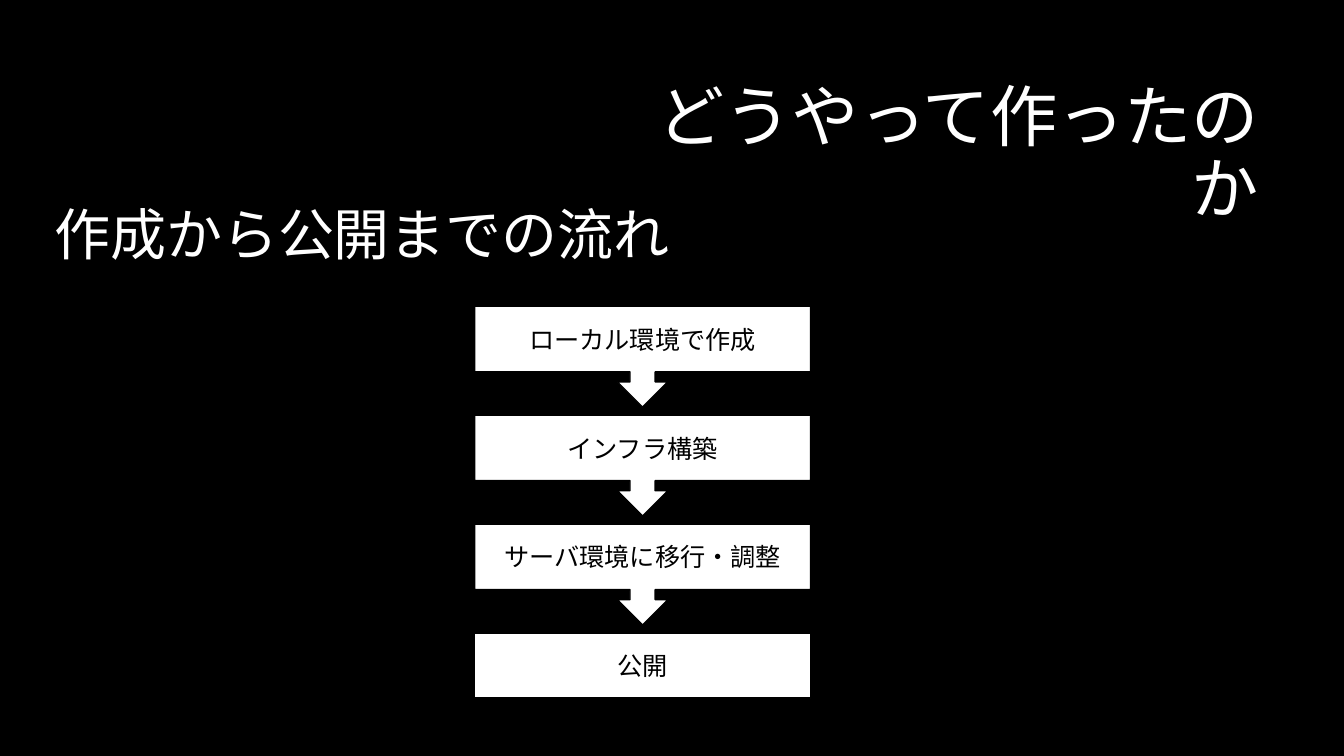
from dataclasses import dataclass

import pptx
import pptx.dml.color
import pptx.enum.shapes
import pptx.enum.text
import pptx.util

Pt = pptx.util.Pt
ALIGN = pptx.enum.text.PP_ALIGN
SHAPE = pptx.enum.shapes.MSO_SHAPE

COLORS = {"background": "000000", "light": "FFFFFF", "dark": "000000"}
FONT = "TeX Gyre Adventor"

# Flow chart measures in points
STEP_LEFT, STEP_TOP, STEP_WIDTH = 339, 218.8, 240
STEP_PITCH = 77.8
CALLOUT_HEIGHT, BOX_HEIGHT = 72, 46.5


@dataclass
class Step:
    text: str
    kind: int = SHAPE.DOWN_ARROW_CALLOUT
    height: float = CALLOUT_HEIGHT


STEPS = [
    Step("ローカル環境で作成"),
    Step("インフラ構築"),
    Step("サーバ環境に移行・調整"),
    Step("公開", SHAPE.RECTANGLE, BOX_HEIGHT),
]


def rgb(name: str) -> pptx.dml.color.RGBColor:
    return pptx.dml.color.RGBColor.from_string(COLORS[name])


def write(sp, text: str, size: float, color: str, align: int, spacing: float = 1.0) -> None:
    tf = sp.text_frame
    tf.text = text
    tf.word_wrap = True
    tf.auto_size = pptx.enum.text.MSO_AUTO_SIZE.NONE
    tf.vertical_anchor = pptx.enum.text.MSO_ANCHOR.MIDDLE
    p = tf.paragraphs[0]
    p.alignment = align
    p.line_spacing = spacing
    r = p.runs[0]
    r.font.name = FONT
    r.font.size = Pt(size)
    r.font.color.rgb = rgb(color)


def add_step(s, step: Step, top: float) -> None:
    sp = s.shapes.add_shape(step.kind, Pt(STEP_LEFT), Pt(top), Pt(STEP_WIDTH), Pt(step.height))
    sp.shadow.inherit = False
    sp.fill.solid()
    sp.fill.fore_color.rgb = rgb("light")
    sp.line.color.rgb = rgb("dark")
    sp.line.width = Pt(1)
    write(sp, step.text, 18, "dark", ALIGN.CENTER)


def main() -> None:
    prs = pptx.Presentation()
    prs.slide_width, prs.slide_height = Pt(960), Pt(540)
    s = prs.slides.add_slide(prs.slide_layouts.get_by_name("Title Only"))
    s.background.fill.solid()
    s.background.fill.fore_color.rgb = rgb("background")

    # Title
    title = s.shapes.title
    title.left, title.top, title.width, title.height = Pt(425), Pt(60.5), Pt(481.5), Pt(101.5)
    write(title, "どうやって作ったのか", 48, "light", ALIGN.RIGHT, 0.9)

    # Subheading
    subheading = s.shapes.add_textbox(Pt(31.7), Pt(130.3), Pt(473), Pt(77.8))
    write(subheading, "作成から公開までの流れ", 40, "light", ALIGN.LEFT, 0.9)

    # Flow from creation to release
    for i, step in enumerate(STEPS):
        add_step(s, step, STEP_TOP + i * STEP_PITCH)

    prs.save("out.pptx")


if __name__ == "__main__":
    main()
